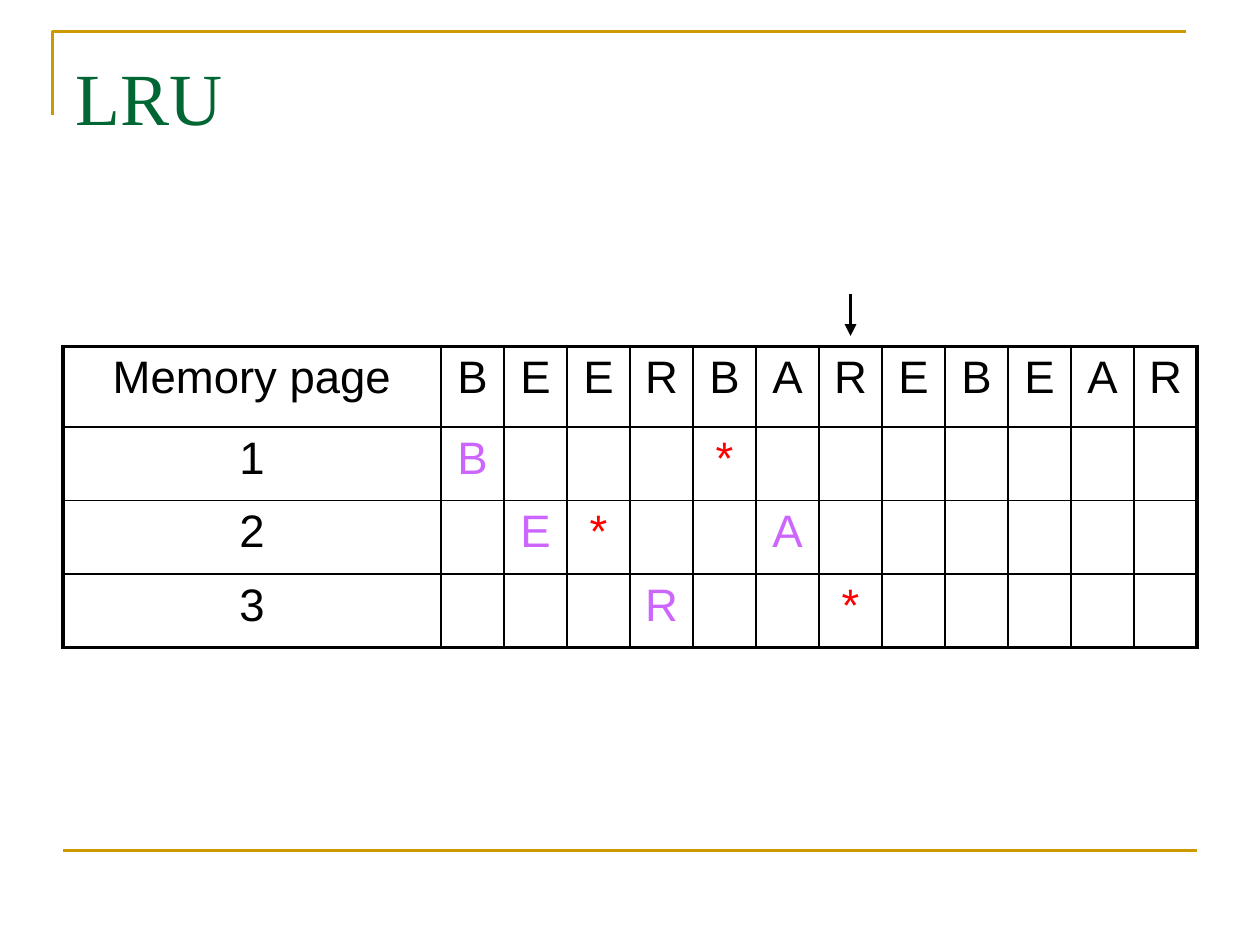
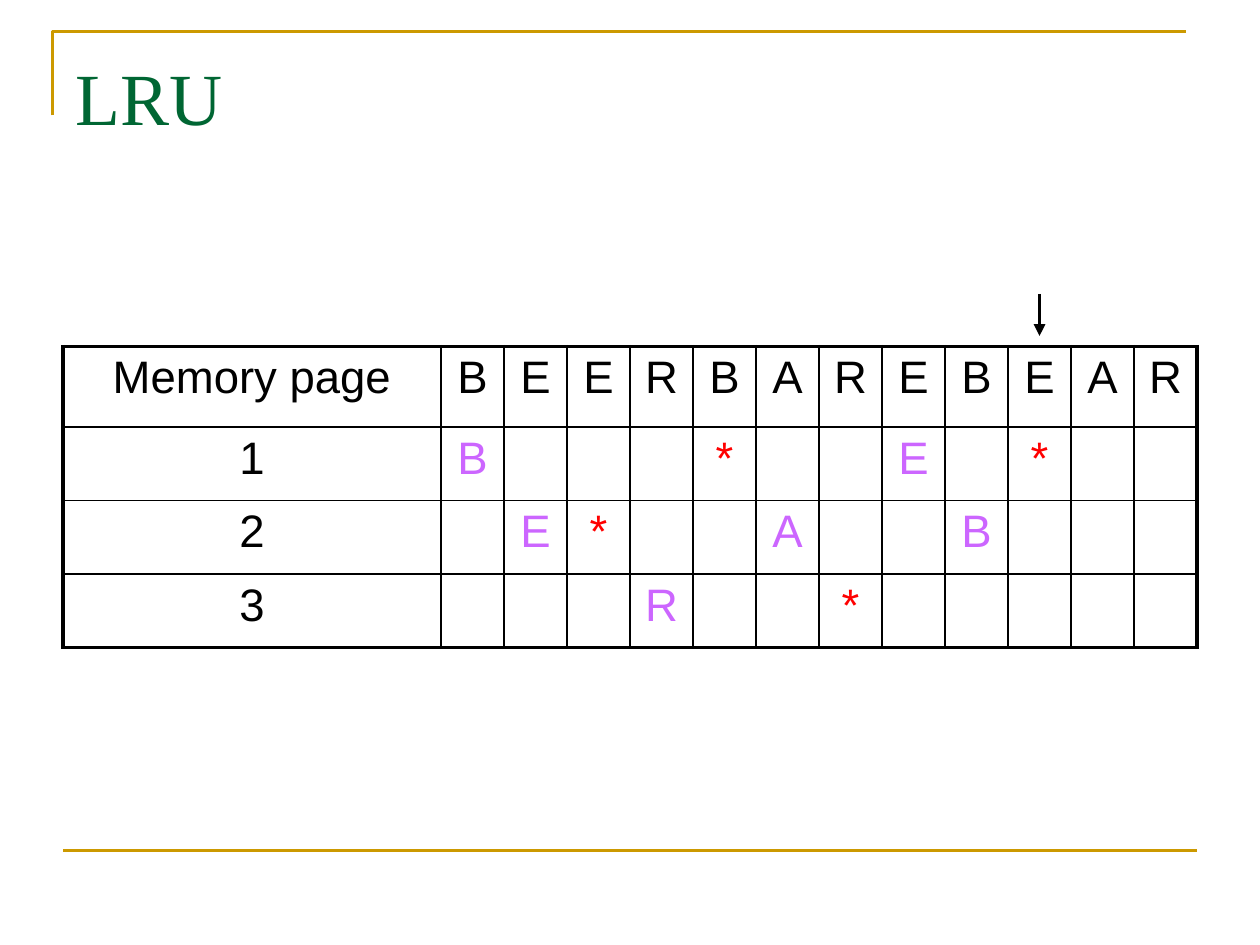
"""Build two slides that step through LRU page replacement."""
from lxml import etree
from pptx import Presentation
from pptx.dml.color import RGBColor
from pptx.enum import shapes, text
from pptx.oxml.ns import qn
from pptx.util import Pt

COLORS = {"gold": "CC9900", "green": "006633", "black": "000000",
          "white": "FFFFFF", "fault": "CC66FF", "hit": "FF0000"}
REQUESTS = "BEERBAREBEAR"
STEPS = [
    {"current": 7, "memory": ["B...*.......", ".E*..A......", "...R..*....."]},
    {"current": 10, "memory": ["B...*..E.*..", ".E*..A..B...", "...R..*....."]},
]
LEFT, TABLE_TOP, WIDTH = 36, 198, 648
LABEL_WIDTH, REQUEST_WIDTH = 216, 36
ROW_HEIGHTS = [46, 42, 42, 42]
THICK, THIN = 2.25, 1


def add_line(page, start, end, color, width):
    line = page.shapes.add_connector(
        shapes.MSO_CONNECTOR.STRAIGHT, *(Pt(value) for value in (*start, *end)))
    line.line.color.rgb = RGBColor.from_string(COLORS[color])
    line.line.width = Pt(width)
    etree.SubElement(line._element.spPr, qn("a:effectLst"))
    return line


def add_border(cell, side, width):
    border = etree.SubElement(cell._tc.get_or_add_tcPr(), qn(f"a:ln{side}"), w=str(Pt(width)))
    fill = etree.SubElement(border, qn("a:solidFill"))
    etree.SubElement(fill, qn("a:srgbClr"), val=COLORS["black"])


deck = Presentation()
deck.slide_width, deck.slide_height = Pt(720), Pt(540)

for step in STEPS:
    page = deck.slides.add_slide(deck.slide_layouts[5])

    corner = page.shapes.build_freeform(Pt(30), Pt(66))
    corner.add_line_segments([(Pt(30), Pt(18)), (Pt(678), Pt(18))], close=False)
    frame = corner.convert_to_shape()
    frame.fill.background()
    frame.line.color.rgb = RGBColor.from_string(COLORS["gold"])
    frame.line.width = Pt(1.5)
    frame.shadow.inherit = False
    add_line(page, (LEFT, 486), (LEFT + WIDTH, 486), "gold", 1.5)

    title = page.shapes.title
    title.left, title.top, title.width, title.height = Pt(LEFT), Pt(21.6), Pt(WIDTH), Pt(90)
    title.text_frame.text = "LRU"
    title.text_frame.vertical_anchor = text.MSO_ANCHOR.TOP
    title.text_frame.margin_top = Pt(8.3)
    heading = title.text_frame.paragraphs[0]
    heading.alignment = text.PP_ALIGN.LEFT
    heading.font.name, heading.font.size = "Times New Roman", Pt(42)
    heading.font.color.rgb = RGBColor.from_string(COLORS["green"])

    rows = [["Memory page", *REQUESTS]]
    rows += [[str(number), *states] for number, states in enumerate(step["memory"], 1)]
    last_row, last_column = len(rows) - 1, len(REQUESTS)
    table = page.shapes.add_table(
        len(rows), last_column + 1, Pt(LEFT), Pt(TABLE_TOP),
        Pt(WIDTH), Pt(sum(ROW_HEIGHTS))).table
    table.first_row = table.horz_banding = False
    for index, column in enumerate(table.columns):
        column.width = Pt(REQUEST_WIDTH if index else LABEL_WIDTH)
    for row, height in zip(table.rows, ROW_HEIGHTS):
        row.height = Pt(height)

    for row_index, row in enumerate(rows):
        for column_index, content in enumerate(row):
            cell = table.cell(row_index, column_index)
            outer = {"L": column_index == 0, "R": column_index == last_column,
                     "T": row_index == 0, "B": row_index == last_row}
            for side, is_outer in outer.items():
                add_border(cell, side, THICK if is_outer else THIN)
            cell.fill.solid()
            cell.fill.fore_color.rgb = RGBColor.from_string(COLORS["white"])
            if content == ".":
                continue
            color = "black"
            if row_index and column_index:
                color = "hit" if content == "*" else "fault"
            cell.text_frame.text = content
            para = cell.text_frame.paragraphs[0]
            para.alignment = text.PP_ALIGN.CENTER
            para.font.name, para.font.size = "Arial", Pt(26)
            para.font.color.rgb = RGBColor.from_string(COLORS[color])

    center = LEFT + LABEL_WIDTH + (step["current"] - 0.5) * REQUEST_WIDTH
    arrow = add_line(page, (center, 168), (center, 192), "black", THICK)
    etree.SubElement(arrow.line._get_or_add_ln(), qn("a:tailEnd"), type="triangle")

deck.save("out.pptx")
